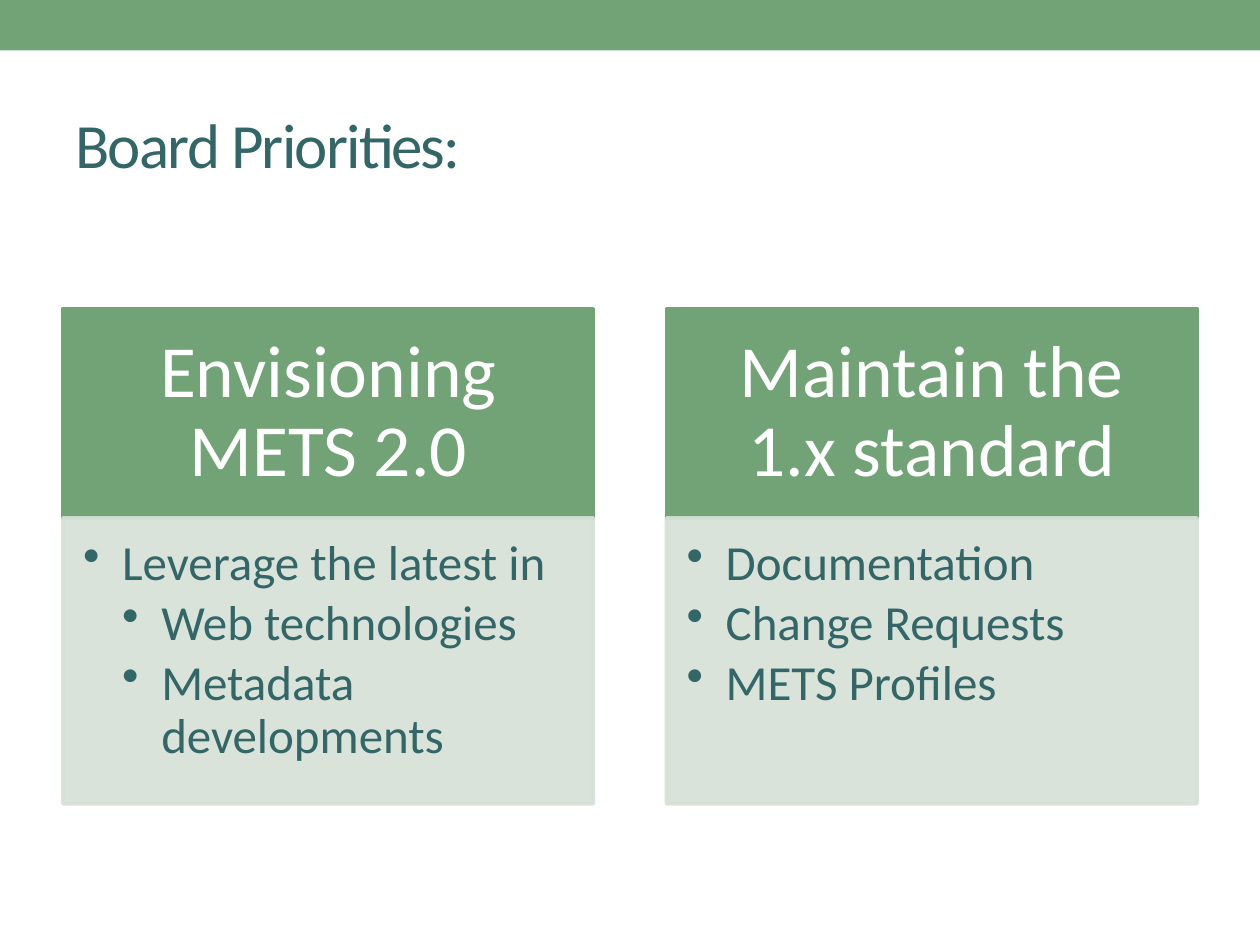
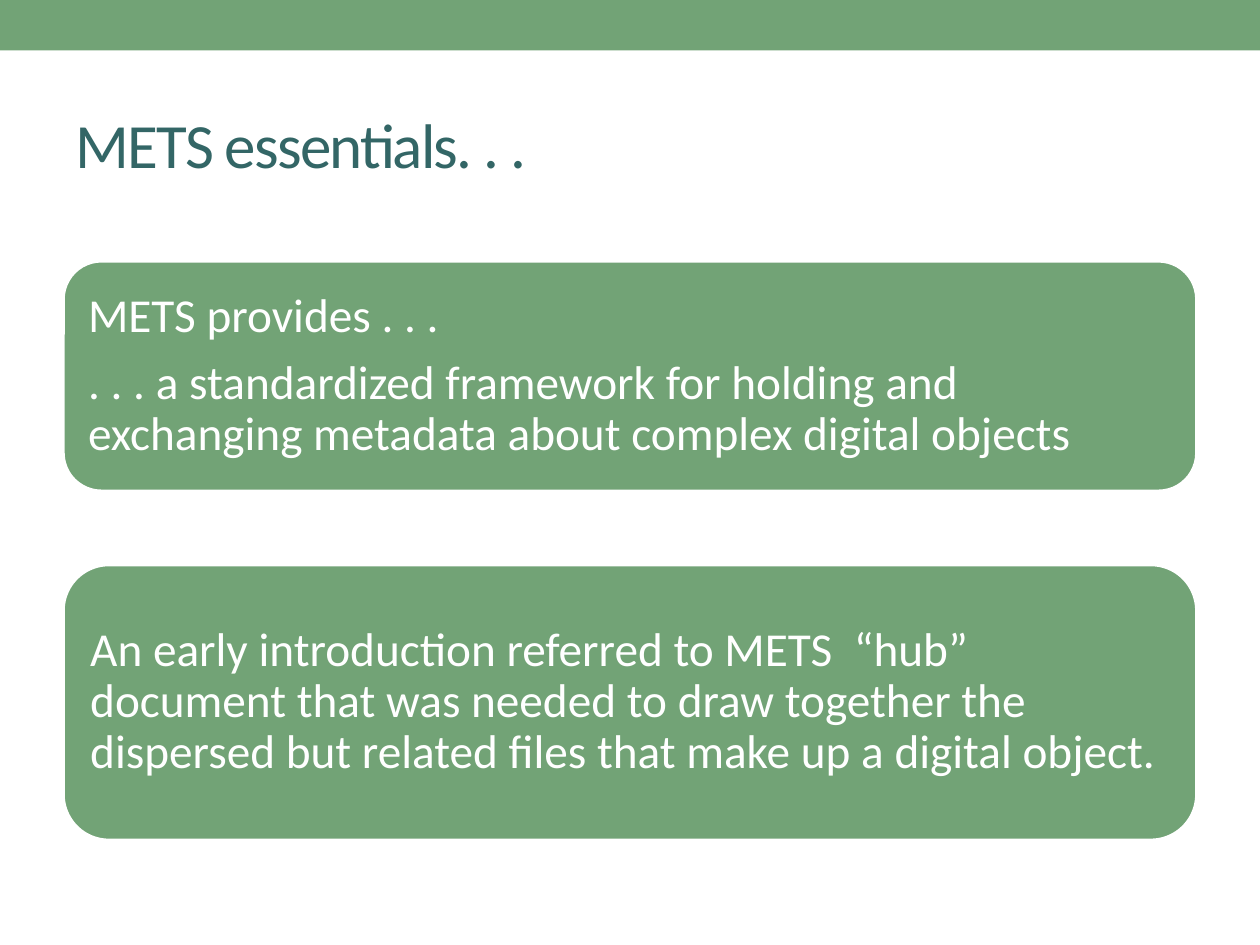
from lxml import etree
from pptx import Presentation
from pptx.dml.color import RGBColor
from pptx.enum import shapes, text
from pptx.oxml.ns import qn
from pptx.util import Inches, Pt

# Content: bullets are (level, text)
PRIORITIES_TITLE = "Board Priorities:"
PRIORITIES = [
    ("Envisioning METS 2.0", [
        (1, "Leverage the latest in"),
        (2, "Web technologies"),
        (2, "Metadata developments"),
    ]),
    ("Maintain the 1.x standard", [
        (1, "Documentation"),
        (1, "Change Requests"),
        (1, "METS Profiles"),
    ]),
]
ESSENTIALS_TITLE = "METS essentials. . ."
# Each card: top, height, paragraphs
ESSENTIALS = [
    (2.07, 1.83, [
        "METS provides . . .",
        ". . . a standardized framework for holding and exchanging metadata "
        "about complex digital objects",
    ]),
    (4.48, 2.19, [
        "An early introduction referred to METS  “hub” document that was needed "
        "to draw together the dispersed but related files that make up a "
        "digital object.",
    ]),
]

# Shared style
FONT = "Calibri"
GREEN, PALE, TEAL, WHITE = "72A376", "D5E0D6", "336666", "FFFFFF"
SLIDE_W, SLIDE_H = 10, 7.5
MARGIN = 0.5
CONTENT_W = SLIDE_W - 2 * MARGIN
LINE_W = 2.08
BULLET_STEP = 0.31

# Priority columns
COLUMN_W = 4.21
COLUMN_STEP = CONTENT_W - COLUMN_W
HEAD_TOP, HEAD_H, BODY_H = 2.45, 1.66, 2.27


def rgb(value):
    return RGBColor.from_string(value)


def add_box(slide, kind, at, fill, line=None, alpha=None):
    sp = slide.shapes.add_shape(kind, *map(Inches, at))
    sp.shadow.inherit = False
    sp.fill.solid()
    sp.fill.fore_color.rgb = rgb(fill)
    if line:
        sp.line.color.rgb = rgb(line)
        sp.line.width = Pt(LINE_W)
    else:
        sp.line.fill.background()
    if alpha:
        for color in sp._element.spPr.iter(qn("a:srgbClr")):
            etree.SubElement(color, qn("a:alpha"), val=str(alpha * 1000))
    return sp


def add_bullet(p, level):
    pPr = p._p.get_or_add_pPr()
    pPr.set("marL", str(Inches(BULLET_STEP * level)))
    pPr.set("indent", str(-Inches(BULLET_STEP)))
    etree.SubElement(pPr, qn("a:buChar"), char="•")


def write(sp, items, size, color, insets=(0.1, 0.05, 0.1, 0.05), align="LEFT",
          anchor="MIDDLE", line=None, after=0, tracking=None):
    """Fill a shape with paragraphs; an item is a string or (level, string)."""
    tf = sp.text_frame
    tf.word_wrap = True
    tf.vertical_anchor = text.MSO_ANCHOR[anchor]
    (tf.margin_left, tf.margin_top,
     tf.margin_right, tf.margin_bottom) = map(Inches, insets)
    for i, item in enumerate(items):
        level, words = (0, item) if isinstance(item, str) else item
        p = tf.add_paragraph() if i else tf.paragraphs[0]
        p.alignment = text.PP_ALIGN[align]
        p.space_after = Pt(round(size * after, 1))
        if line:
            p.line_spacing = line
        if level:
            add_bullet(p, level)
        r = p.add_run()
        r.text = words
        r.font.name = FONT
        r.font.size = Pt(size)
        r.font.color.rgb = rgb(color)
        if tracking:
            r._r.get_or_add_rPr().set("spc", str(tracking * 100))


def new_slide(prs, title):
    """Blank slide with the top band and the title."""
    slide = prs.slides.add_slide(prs.slide_layouts[6])
    add_box(slide, shapes.MSO_SHAPE.RECTANGLE, (0, 0, SLIDE_W, 0.4), GREEN)
    at = (MARGIN, 0.6, CONTENT_W, 1.08)
    write(slide.shapes.add_textbox(*map(Inches, at)), [title], 36, TEAL,
          tracking=-1)
    return slide


def add_priorities(prs):
    slide = new_slide(prs, PRIORITIES_TITLE)
    rect = shapes.MSO_SHAPE.RECTANGLE
    for i, (heading, bullets) in enumerate(PRIORITIES):
        left = MARGIN + i * COLUMN_STEP
        head = add_box(slide, rect, (left, HEAD_TOP, COLUMN_W, HEAD_H),
                       GREEN, GREEN)
        write(head, [heading], 42, WHITE, insets=(0.33, 0.19, 0.33, 0.19),
              align="CENTER", line=0.9, after=0.35)
        body = add_box(slide, rect,
                       (left, HEAD_TOP + HEAD_H, COLUMN_W, BODY_H),
                       PALE, PALE, alpha=90)
        write(body, bullets, 28, TEAL, insets=(0.16, 0.16, 0.22, 0.24),
              anchor="TOP", line=0.9, after=0.15)


def add_essentials(prs):
    slide = new_slide(prs, ESSENTIALS_TITLE)
    for top, height, paragraphs in ESSENTIALS:
        card = add_box(slide, shapes.MSO_SHAPE.ROUNDED_RECTANGLE,
                       (MARGIN, top, CONTENT_W, height), GREEN, WHITE)
        write(card, paragraphs, 27, WHITE, insets=(0.11,) * 4,
              line=0.9, after=0.35)


def main():
    prs = Presentation()
    prs.slide_width, prs.slide_height = Inches(SLIDE_W), Inches(SLIDE_H)
    add_priorities(prs)
    add_essentials(prs)
    prs.save("out.pptx")


if __name__ == "__main__":
    main()
